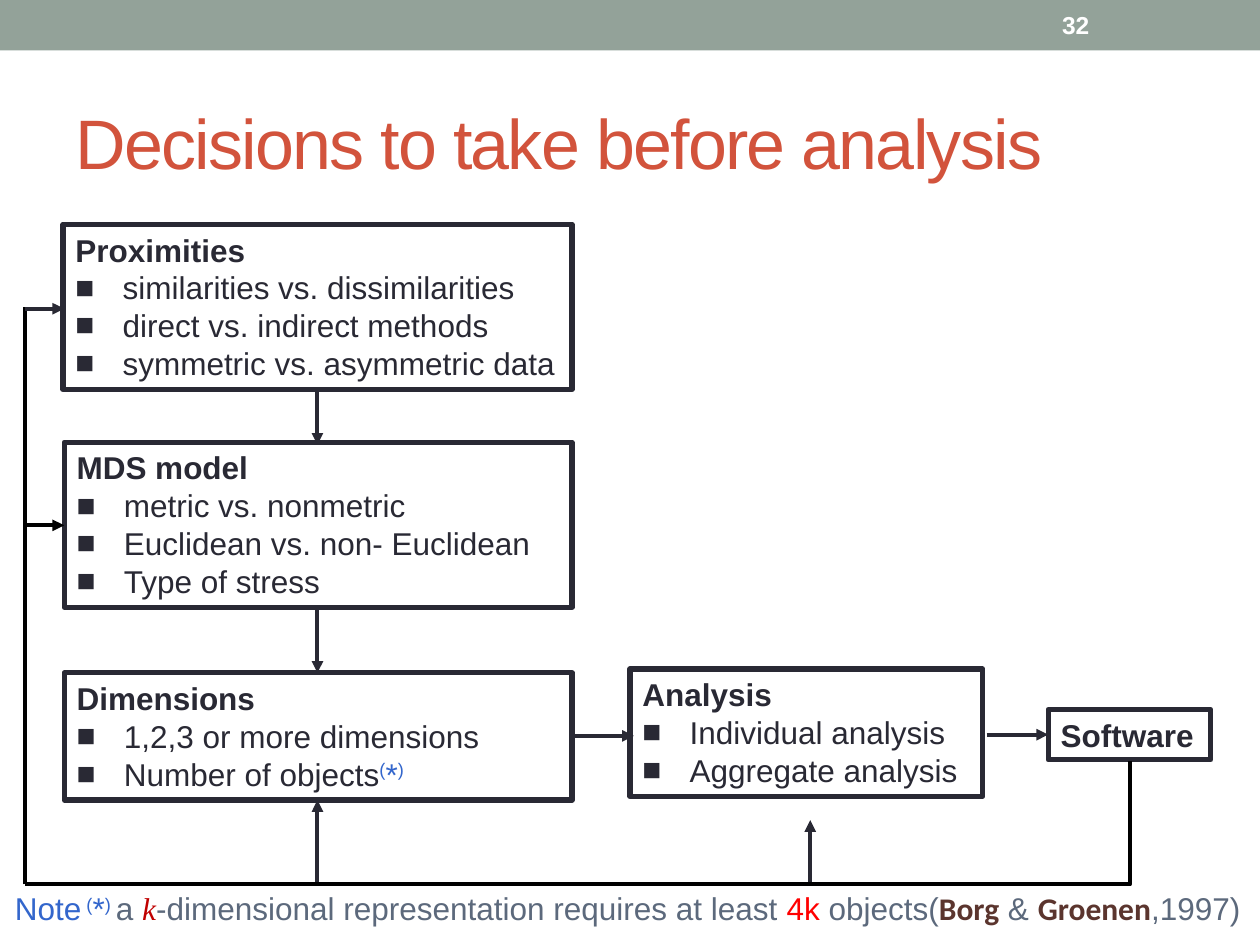
from lxml.etree import SubElement
from pptx import Presentation
from pptx.dml.color import RGBColor
from pptx.enum.shapes import MSO_CONNECTOR as LINK, MSO_SHAPE as SHAPE
from pptx.enum.text import MSO_ANCHOR as ANCHOR, PP_ALIGN as ALIGN
from pptx.oxml.ns import qn
from pptx.util import Pt

INK = RGBColor(0x29, 0x29, 0x34)
BLACK = RGBColor(0, 0, 0)
WHITE = RGBColor(255, 255, 255)
SAGE = RGBColor(0x93, 0xA2, 0x99)
RUST = RGBColor(0xD2, 0x53, 0x3C)
BLUE = RGBColor(0x33, 0x66, 0xCC)
SLATE = RGBColor(0x5C, 0x69, 0x7C)
CRIMSON = RGBColor(0xC0, 0, 0)
RED = RGBColor(255, 0, 0)
BROWN = RGBColor(0x5B, 0x35, 0x2E)


def add_run(paragraph, text, color=INK, size=18, font="Arial", bold=False, italic=False, raised=False):
    run = paragraph.add_run()
    run.text = text
    run.font.name = font
    run.font.size = Pt(size)
    run.font.bold = bold
    run.font.italic = italic
    run.font.color.rgb = color
    if raised:
        run.font._element.set("baseline", "30000")
    return run


def add_text_frame(left, top, width, height, anchor=ANCHOR.TOP):
    frame = slide.shapes.add_textbox(Pt(left), Pt(top), Pt(width), Pt(height)).text_frame
    frame.word_wrap = True
    frame.vertical_anchor = anchor
    return frame


deck = Presentation()
deck.slide_width, deck.slide_height = Pt(720), Pt(540)
slide = deck.slides.add_slide(deck.slide_layouts[6])

band = slide.shapes.add_shape(SHAPE.RECTANGLE, 0, 0, Pt(720), Pt(28.8))
band.shadow.inherit = False
band.fill.solid()
band.fill.fore_color.rgb = SAGE
band.line.fill.background()

title = add_text_frame(36, 41.8, 648, 77.8, ANCHOR.MIDDLE)
heading = add_run(title.paragraphs[0], "Decisions to take before analysis", RUST, 40)
heading.font._element.set("spc", "-100")

steps = [
    (36, 128.2, 290.9, 94.3, "Proximities",
     ["similarities vs. dissimilarities", "direct vs. indirect methods", "symmetric vs. asymmetric data"]),
    (36.7, 252.7, 290.2, 94.3, "MDS model",
     ["metric vs. nonmetric", "Euclidean vs. non- Euclidean", "Type of stress"]),
    (36.7, 384.5, 290.2, 72.7, "Dimensions",
     ["1,2,3 or more dimensions", "Number of objects"]),
    (360, 382.3, 201.6, 72.7, "Analysis",
     ["Individual analysis", "Aggregate analysis"]),
    (599, 405.4, 92.9, 28.8, "Software", []),
]
for left, top, width, height, name, choices in steps:
    step = slide.shapes.add_shape(SHAPE.RECTANGLE, Pt(left), Pt(top), Pt(width), Pt(height))
    step.shadow.inherit = False
    step.fill.background()
    step.line.color.rgb = INK
    step.line.width = Pt(3)
    frame = step.text_frame
    frame.word_wrap = True
    frame.vertical_anchor = ANCHOR.TOP
    frame.paragraphs[0].alignment = ALIGN.LEFT
    add_run(frame.paragraphs[0], name, bold=True)
    for choice in choices:
        item = frame.add_paragraph()
        item.alignment = ALIGN.LEFT
        indent = item._p.get_or_add_pPr()
        indent.set("marL", str(Pt(27)))
        indent.set("indent", str(-Pt(27)))
        SubElement(indent, qn("a:buFont")).set("typeface", "Arial")
        SubElement(indent, qn("a:buChar")).set("char", "■")
        add_run(item, choice)
        if choice == "Number of objects":
            for mark in "(*)":
                add_run(item, mark, BLUE, raised=mark != "*")

arrows = [
    (181.4, 222.5, 181.4, 254.2, INK, True),
    (181.4, 347.8, 181.4, 384.5, INK, True),
    (326.9, 420.5, 362.2, 420.5, INK, True),
    (563.8, 419.8, 599, 419.8, INK, True),
    (14.4, 505.4, 14.4, 175.7, BLACK, False),
    (14.4, 176.4, 36.7, 176.4, INK, True),
    (14.4, 300.2, 36.7, 300.2, BLACK, True),
    (181.4, 505.4, 181.4, 457.2, INK, True),
    (463, 505.4, 463, 468.7, INK, True),
]
for x1, y1, x2, y2, color, pointed in arrows:
    arrow = slide.shapes.add_connector(LINK.STRAIGHT, Pt(x1), Pt(y1), Pt(x2), Pt(y2))
    arrow.line.color.rgb = color
    arrow.line.width = Pt(2.25)
    if pointed:
        SubElement(arrow.line._get_or_add_ln(), qn("a:tailEnd")).set("type", "triangle")
    SubElement(arrow._element.spPr, qn("a:effectLst"))

outline = slide.shapes.build_freeform(Pt(645.8), Pt(434.9))
outline.add_line_segments([(Pt(645.8), Pt(505.4)), (Pt(14.4), Pt(505.4))], close=False)
feedback = outline.convert_to_shape()
feedback.shadow.inherit = False
feedback.fill.background()
feedback.line.color.rgb = BLACK
feedback.line.width = Pt(2.25)

note = add_text_frame(1.4, 504.7, 738, 28.8).paragraphs[0]
add_run(note, "Note", BLUE)
add_run(note, " (", BLUE, raised=True)
add_run(note, "*", BLUE)
add_run(note, ") ", BLUE, raised=True)
add_run(note, "a ", SLATE)
add_run(note, "k", CRIMSON, font="Times New Roman", italic=True)
add_run(note, "-dimensional representation requires at least ", SLATE)
add_run(note, "4k", RED)
add_run(note, " objects(", SLATE)
add_run(note, "Borg", BROWN, font="Calibri", bold=True)
add_run(note, " & ", SLATE)
add_run(note, "Groenen", BROWN, font="Calibri", bold=True)
add_run(note, ",1997)", SLATE)

page_number = add_text_frame(599.8, 1.4, 84.2, 25.9, ANCHOR.MIDDLE)
add_run(page_number.paragraphs[0], "32", WHITE, 14, bold=True)

deck.save("out.pptx")
